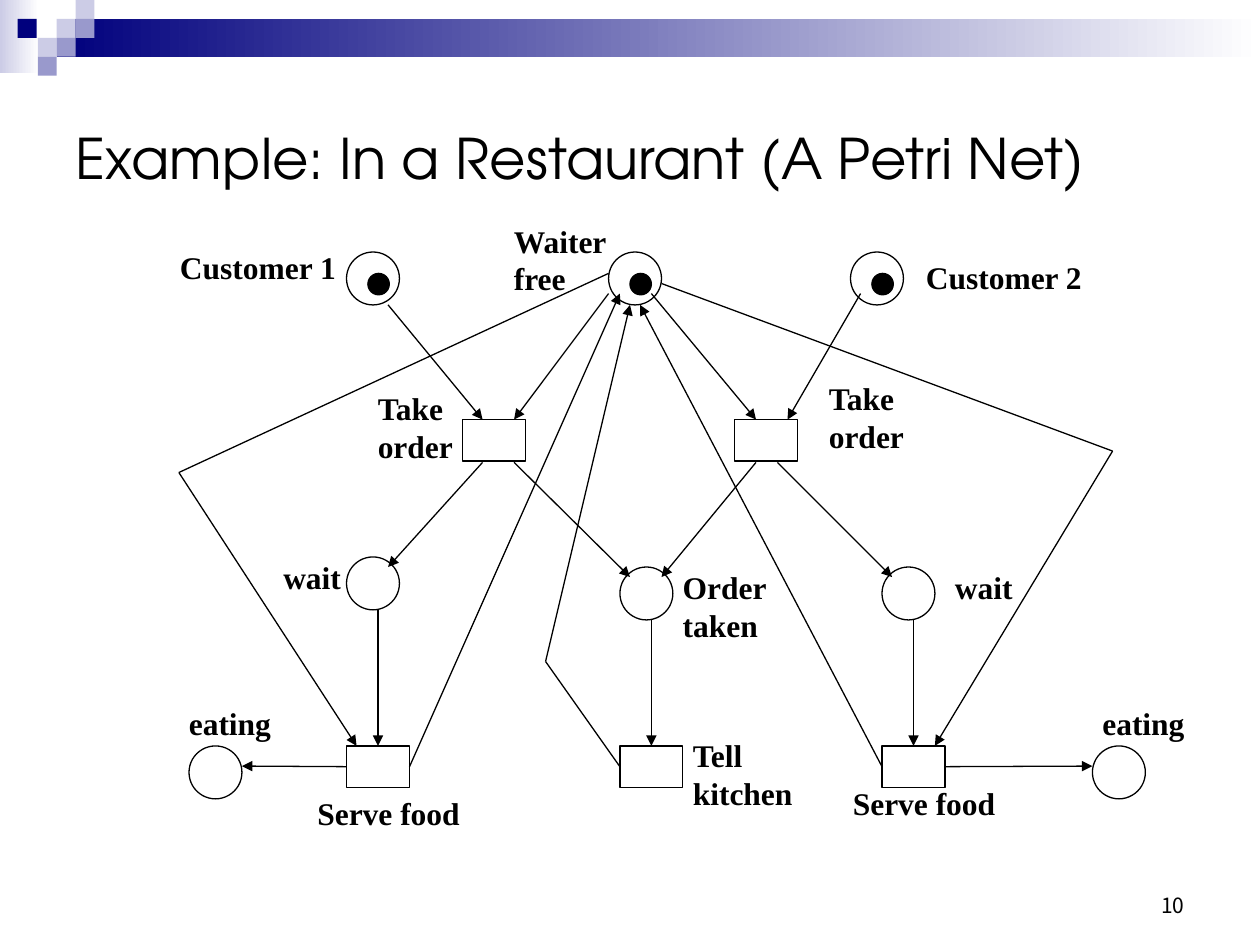
from dataclasses import dataclass
from typing import Optional

import pptx
import pptx.dml.color
import pptx.enum.dml
import pptx.enum.shapes
import pptx.enum.text
import pptx.oxml.ns
import pptx.util
from lxml import etree
from pptx.util import Inches

RGBColor = pptx.dml.color.RGBColor
Shape = pptx.enum.shapes.MSO_SHAPE
Anchor = pptx.enum.text.MSO_ANCHOR
Align = pptx.enum.text.PP_ALIGN

BLACK = RGBColor(0x00, 0x00, 0x00)
WHITE = RGBColor(0xFF, 0xFF, 0xFF)
NAVY = RGBColor(0x00, 0x00, 0x7D)
LAVENDER = RGBColor(0xCC, 0xCC, 0xE6)
PERIWINKLE = RGBColor(0x99, 0x99, 0xCC)

LINE_WIDTH = pptx.util.Pt(0.75)
PLACE_SIZE = 0.42
TOKEN_SIZE = 0.17
TRANSITION_WIDTH, TRANSITION_HEIGHT = 0.5, 0.33
TILE = 0.15
TOP, LEFT, BOTTOM, RIGHT = range(4)


@dataclass
class Place:
    x: float
    y: float
    has_token: bool = False


@dataclass
class Transition:
    name: str
    x: float
    y: float


@dataclass
class Label:
    text: str
    x: float
    y: float
    width: float


@dataclass
class Arc:
    start: tuple[float, float]
    end: tuple[float, float]
    arrow: bool = True
    leaves: Optional[tuple[str, int]] = None
    enters: Optional[tuple[str, int]] = None


PLACES = [
    Place(2.75, 2, True), Place(4.83, 2, True), Place(6.75, 2, True),
    Place(2.75, 4.42), Place(4.92, 4.5), Place(7, 4.5),
    Place(1.5, 5.92), Place(8.67, 5.92),
]

TRANSITIONS = [
    Transition("order 1", 3.67, 3.33), Transition("order 2", 5.83, 3.33),
    Transition("serve 1", 2.75, 5.92), Transition("kitchen", 4.92, 5.92),
    Transition("serve 2", 7, 5.92),
]

ARCS = [
    # Customers and waiter to the orders
    Arc((3.08, 2.42), (3.83, 3.33)), Arc((4.83, 2.33), (4.08, 3.33)),
    Arc((5.17, 2.33), (6, 3.33)), Arc((6.83, 2.33), (6.25, 3.33)),
    # Orders to the waiting places and the order taken
    Arc((3.83, 3.67), (3.08, 4.5)), Arc((4.08, 3.67), (5, 4.58)),
    Arc((6, 3.67), (5.25, 4.58)), Arc((6.17, 3.67), (7.08, 4.58)),
    # Down to the kitchen and the serving
    Arc((3, 4.83), (3, 5.92), enters=("serve 1", TOP)),
    Arc((5.17, 4.92), (5.17, 5.92), enters=("kitchen", TOP)),
    Arc((7.25, 4.92), (7.25, 5.92), enters=("serve 2", TOP)),
    # Serving to eating
    Arc((2.75, 6.08), (1.92, 6.08), leaves=("serve 1", LEFT)),
    Arc((7.5, 6.08), (8.67, 6.08), leaves=("serve 2", RIGHT)),
    # Back to the free waiter
    Arc((3.25, 6.08), (4.92, 2.33), leaves=("serve 1", RIGHT)),
    Arc((7, 6.08), (5.08, 2.42), leaves=("serve 2", LEFT)),
    Arc((4.92, 6.08), (4.33, 5.25), arrow=False, leaves=("kitchen", LEFT)),
    Arc((4.33, 5.25), (5, 2.42)),
    # Waiter around the outside to the serving
    Arc((4.83, 2.17), (1.42, 3.75), arrow=False),
    Arc((1.42, 3.75), (2.83, 5.92)),
    Arc((5.25, 2.25), (8.83, 3.58), arrow=False),
    Arc((8.83, 3.58), (7.42, 5.92)),
]

LABELS = [
    Label("Waiter\nfree", 3.98, 1.71, 0.95),
    Label("Customer 1", 1.33, 1.92, 1.44), Label("Customer 2", 7.25, 2, 1.44),
    Label("Take\norder", 2.9, 3.04, 0.8), Label("Take\norder", 6.48, 2.96, 0.8),
    Label("Order\ntaken", 5.32, 4.46, 0.87),
    Label("Tell\nkitchen", 5.4, 5.79, 0.99),
    Label("wait", 2.15, 4.38, 0.66), Label("wait", 7.48, 4.46, 0.66),
    Label("Serve food", 2.42, 6.25, 1.33), Label("Serve food", 6.67, 6.17, 1.33),
    Label("eating", 1.4, 5.54, 0.85), Label("eating", 8.65, 5.54, 0.85),
]

# Header tiles: left, row, colour
TILES = [
    (0.45, 1, LAVENDER), (0.6, 0, LAVENDER), (0.6, 1, PERIWINKLE),
    (0.3, 2, LAVENDER), (0.14, 1, NAVY), (0.45, 2, PERIWINKLE),
    (0.3, 3, PERIWINKLE),
]


def add_figure(slide, kind, x: float, y: float, width: float, height: float,
               fill: Optional[RGBColor] = None, outlined: bool = True):
    figure = slide.shapes.add_shape(
        kind, Inches(x), Inches(y), Inches(width), Inches(height))
    figure.shadow.inherit = False
    if fill is None:
        figure.fill.background()
    else:
        figure.fill.solid()
        figure.fill.fore_color.rgb = fill
    if outlined:
        figure.line.color.rgb = BLACK
        figure.line.width = LINE_WIDTH
    else:
        figure.line.fill.background()
    return figure


def add_fading_bar(slide, x: float, y: float, width: float, height: float,
                   color: RGBColor) -> None:
    bar = add_figure(slide, Shape.RECTANGLE, x, y, width, height, outlined=False)
    bar.fill.gradient()
    bar.fill.gradient_angle = 0
    for stop, stop_color, position in zip(
            bar.fill.gradient_stops, (color, WHITE), (0, 1)):
        stop.color.rgb = stop_color
        stop.position = position


def add_text(slide, text: str, x: float, y: float, width: float, height: float,
             font: str, size: float, bold: bool = False, wrap: bool = True,
             anchor=Anchor.TOP, align=Align.LEFT) -> None:
    box = slide.shapes.add_textbox(
        Inches(x), Inches(y), Inches(width), Inches(height))
    frame = box.text_frame
    frame.text = text
    frame.word_wrap = wrap
    frame.vertical_anchor = anchor
    if not wrap:
        frame.auto_size = pptx.enum.text.MSO_AUTO_SIZE.SHAPE_TO_FIT_TEXT
    for paragraph in frame.paragraphs:
        paragraph.alignment = align
        for run in paragraph.runs:
            run.font.name = font
            run.font.size = pptx.util.Pt(size)
            run.font.bold = bold
            run.font.color.rgb = BLACK


def add_arc(slide, arc: Arc, boxes: dict) -> None:
    line = slide.shapes.add_connector(
        pptx.enum.shapes.MSO_CONNECTOR.STRAIGHT,
        *(Inches(value) for value in arc.start + arc.end))
    line.line.color.rgb = BLACK
    line.line.width = LINE_WIDTH
    if arc.leaves:
        name, side = arc.leaves
        line.begin_connect(boxes[name], side)
    if arc.enters:
        name, side = arc.enters
        line.end_connect(boxes[name], side)
    qn = pptx.oxml.ns.qn
    if arc.arrow:
        etree.SubElement(line.line._get_or_add_ln(), qn("a:tailEnd"), type="triangle")
    etree.SubElement(line._element.spPr, qn("a:effectLst"))


def main() -> None:
    deck = pptx.Presentation()
    deck.slide_width, deck.slide_height = Inches(10), Inches(7.5)
    slide = deck.slides.add_slide(deck.slide_layouts[6])

    # Header decoration
    add_fading_bar(slide, 0, 0, 0.31, 0.58, LAVENDER)
    add_fading_bar(slide, 0.45, 0.15, 9.55, 0.3, NAVY)
    for x, row, color in TILES:
        add_figure(slide, Shape.RECTANGLE, x, row * TILE, TILE, TILE, color, False)

    # Page number and title
    add_text(slide, "10", 7.17, 6.83, 2.33, 0.5, "Noto Sans CJK KR", 12,
             anchor=Anchor.BOTTOM, align=Align.RIGHT)
    add_text(slide, "Example: In a Restaurant (A Petri Net)", 0.5, 0.5, 9, 1.5,
             "TeX Gyre Adventor", 32, anchor=Anchor.MIDDLE)

    # Petri net
    for place in PLACES:
        add_figure(slide, Shape.OVAL, place.x, place.y, PLACE_SIZE, PLACE_SIZE)
    boxes = {
        step.name: add_figure(slide, Shape.RECTANGLE, step.x, step.y,
                              TRANSITION_WIDTH, TRANSITION_HEIGHT)
        for step in TRANSITIONS
    }
    for arc in ARCS:
        add_arc(slide, arc, boxes)
    for label in LABELS:
        height = 0.7 if "\n" in label.text else 0.4
        add_text(slide, label.text, label.x, label.y, label.width, height,
                 "Times New Roman", 18, bold=True, wrap=False)
    for place in PLACES:
        if place.has_token:
            add_figure(slide, Shape.OVAL, place.x + 0.17, place.y + 0.17,
                       TOKEN_SIZE, TOKEN_SIZE, BLACK)

    deck.save("out.pptx")


if __name__ == "__main__":
    main()
